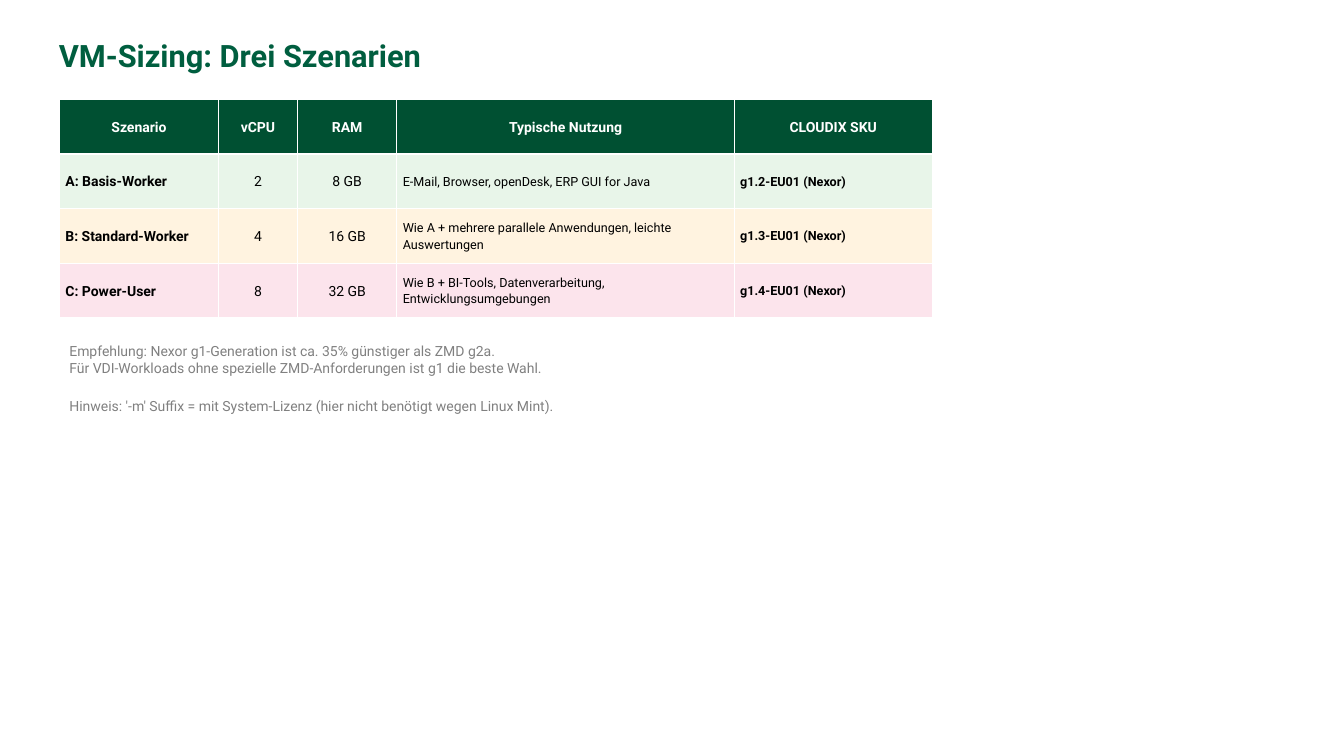
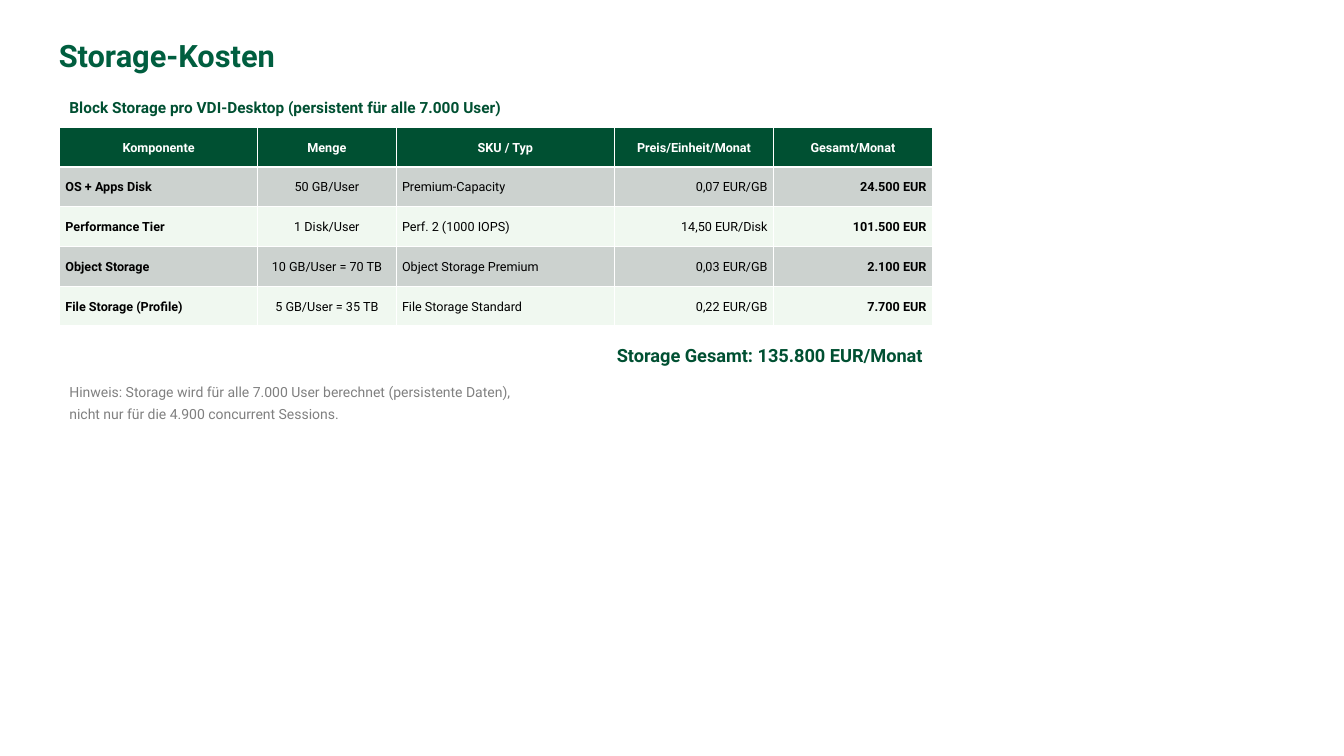
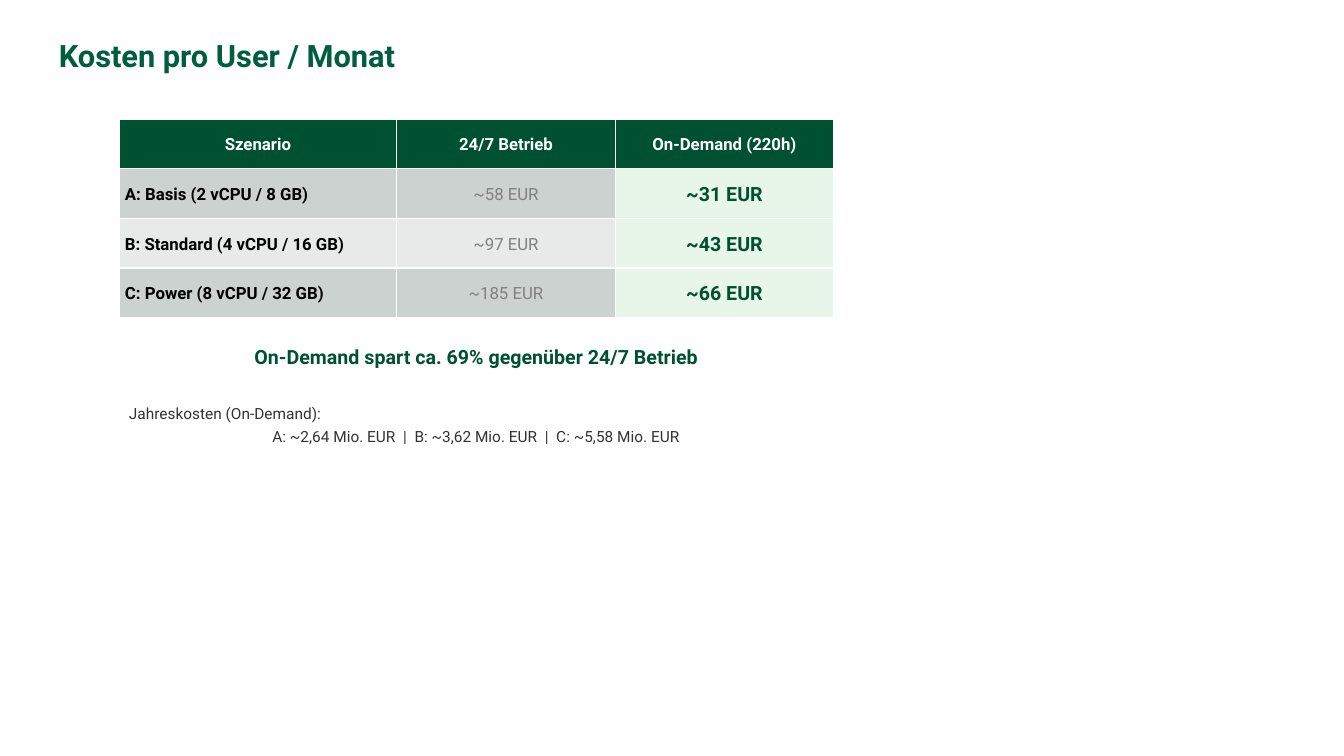
"""Builds three slides on VM sizing, storage costs and costs per user."""
import pptx
import pptx.dml.color
import pptx.enum.text
import pptx.util

Pt = pptx.util.Pt
RGBColor = pptx.dml.color.RGBColor
LEFT, CENTER, RIGHT = (
    pptx.enum.text.PP_ALIGN.LEFT,
    pptx.enum.text.PP_ALIGN.CENTER,
    pptx.enum.text.PP_ALIGN.RIGHT,
)
MIDDLE = pptx.enum.text.MSO_ANCHOR.MIDDLE

FONT = "Roboto"
TITLE_GREEN = RGBColor(0x00, 0x5E, 0x3F)
GREEN = RGBColor(0x00, 0x50, 0x32)
WHITE = RGBColor(0xFF, 0xFF, 0xFF)
BLACK = RGBColor(0x00, 0x00, 0x00)
DARK = RGBColor(0x33, 0x33, 0x33)
GRAY = RGBColor(0x80, 0x80, 0x80)
MINT = RGBColor(0xE8, 0xF5, 0xE9)
ORANGE = RGBColor(0xFF, 0xF3, 0xE0)
PINK = RGBColor(0xFC, 0xE4, 0xEC)
BAND = RGBColor(0xCC, 0xD2, 0xCF)
PALE_BAND = RGBColor(0xE7, 0xEA, 0xE8)
PALE_GREEN = RGBColor(0xF0, 0xF8, 0xF0)

EDGE, CONTENT_WIDTH = 42.5, 623.5
COST_EDGE, COST_WIDTH = 85, 510.5

# Column: heading, width, alignment, size, bold, colour, own fill
# Text: box, size, bold, colour, line spacing, paragraphs (text, alignment, space before)
SLIDES = [
    {
        "title": "VM-Sizing: Drei Szenarien",
        "table": {
            "at": (EDGE, 71), "row_height": 39, "header_size": 10,
            "columns": [
                ("Szenario", 113.5, LEFT, 10, True, BLACK, None),
                ("vCPU", 56.5, CENTER, 10, False, BLACK, None),
                ("RAM", 71, CENTER, 10, False, BLACK, None),
                ("Typische Nutzung", 241, LEFT, 9, False, BLACK, None),
                ("CLOUDIX SKU", 141.5, LEFT, 9, True, BLACK, None),
            ],
            "fills": [MINT, ORANGE, PINK],
            "rows": [
                ("A: Basis-Worker", "2", "8 GB",
                 "E-Mail, Browser, openDesk, ERP GUI for Java", "g1.2-EU01 (Nexor)"),
                ("B: Standard-Worker", "4", "16 GB",
                 "Wie A + mehrere parallele Anwendungen, leichte Auswertungen",
                 "g1.3-EU01 (Nexor)"),
                ("C: Power-User", "8", "32 GB",
                 "Wie B + BI-Tools, Datenverarbeitung, Entwicklungsumgebungen",
                 "g1.4-EU01 (Nexor)"),
            ],
        },
        "texts": [
            ((EDGE, 241, CONTENT_WIDTH, 85), 10, False, GRAY, 1.0, [
                ("Empfehlung: Nexor g1-Generation ist ca. 35% günstiger als ZMD g2a.", LEFT, 0),
                ("Für VDI-Workloads ohne spezielle ZMD-Anforderungen ist g1 die beste Wahl.",
                 LEFT, 0),
                ("Hinweis: '-m' Suffix = mit System-Lizenz (hier nicht benötigt wegen Linux Mint).",
                 LEFT, 15),
            ]),
        ],
    },
    {
        "title": "Storage-Kosten",
        "table": {
            "at": (EDGE, 91), "row_height": 28.35, "header_size": 9,
            "columns": [
                ("Komponente", 141.5, LEFT, 9, True, BLACK, None),
                ("Menge", 99, CENTER, 9, False, BLACK, None),
                ("SKU / Typ", 156, LEFT, 9, False, BLACK, None),
                ("Preis/Einheit/Monat", 113.5, RIGHT, 9, False, BLACK, None),
                ("Gesamt/Monat", 113.5, RIGHT, 9, True, BLACK, None),
            ],
            "fills": [BAND, PALE_GREEN],
            "rows": [
                ("OS + Apps Disk", "50 GB/User", "Premium-Capacity",
                 "0,07 EUR/GB", "24.500 EUR"),
                ("Performance Tier", "1 Disk/User", "Perf. 2 (1000 IOPS)",
                 "14,50 EUR/Disk", "101.500 EUR"),
                ("Object Storage", "10 GB/User = 70 TB", "Object Storage Premium",
                 "0,03 EUR/GB", "2.100 EUR"),
                ("File Storage (Profile)", "5 GB/User = 35 TB", "File Storage Standard",
                 "0,22 EUR/GB", "7.700 EUR"),
            ],
        },
        "texts": [
            ((EDGE, 65.5, 340, 22.5), 11, True, GREEN, 1.1, [
                ("Block Storage pro VDI-Desktop (persistent für alle 7.000 User)", LEFT, 0),
            ]),
            ((397, 241, 269, 22.5), 13, True, GREEN, 1.1, [
                ("Storage Gesamt: 135.800 EUR/Monat", RIGHT, 0),
            ]),
            ((EDGE, 269.5, CONTENT_WIDTH, 42.5), 10, False, GRAY, 1.1, [
                ("Hinweis: Storage wird für alle 7.000 User berechnet (persistente Daten),",
                 LEFT, 0),
                ("nicht nur für die 4.900 concurrent Sessions.", LEFT, 2.5),
            ]),
        ],
    },
    {
        "title": "Kosten pro User / Monat",
        "table": {
            "at": (COST_EDGE, 85), "row_height": 35.5, "header_size": 12,
            "columns": [
                ("Szenario", 198.5, LEFT, 12, True, BLACK, None),
                ("24/7 Betrieb", 156, CENTER, 12, False, GRAY, None),
                ("On-Demand (220h)", 156, CENTER, 14, True, GREEN, MINT),
            ],
            "fills": [BAND, PALE_BAND],
            "rows": [
                ("A: Basis (2 vCPU / 8 GB)", "~58 EUR", "~31 EUR"),
                ("B: Standard (4 vCPU / 16 GB)", "~97 EUR", "~43 EUR"),
                ("C: Power (8 vCPU / 32 GB)", "~185 EUR", "~66 EUR"),
            ],
        },
        "texts": [
            ((COST_EDGE, 241, COST_WIDTH, 28), 14, True, GREEN, 1.1, [
                ("On-Demand spart ca. 69% gegenüber 24/7 Betrieb", CENTER, 0),
            ]),
            ((COST_EDGE, 283.5, COST_WIDTH, 57), 11, False, DARK, 1.1, [
                ("Jahreskosten (On-Demand):", LEFT, 0),
                ("A: ~2,64 Mio. EUR  |  B: ~3,62 Mio. EUR  |  C: ~5,58 Mio. EUR", CENTER, 2.5),
            ]),
        ],
    },
]


def write(paragraph, text, align, size, bold, color, spacing=1.1):
    paragraph.alignment = align
    paragraph.line_spacing = spacing
    run = paragraph.add_run()
    run.text = text
    run.font.name = FONT
    run.font.size = Pt(size)
    run.font.bold = bold
    run.font.color.rgb = color


def add_text(slide, box, size, bold, color, spacing, paragraphs):
    frame = slide.shapes.add_textbox(*map(Pt, box)).text_frame
    frame.word_wrap = True
    for index, (text, align, before) in enumerate(paragraphs):
        paragraph = frame.add_paragraph() if index else frame.paragraphs[0]
        write(paragraph, text, align, size, bold, color, spacing)
        if before:
            paragraph.space_before = Pt(before)
    return frame


def add_title(slide, title):
    frame = add_text(slide, (42, 29.5, 793.5, 61), 22, True, TITLE_GREEN, 0.9,
                     [(title, LEFT, 0)])
    frame.margin_left = frame.margin_top = frame.margin_right = frame.margin_bottom = 0


def fill_cell(cell, fill, text, align, size, bold, color):
    cell.fill.solid()
    cell.fill.fore_color.rgb = fill
    cell.vertical_anchor = MIDDLE
    cell.margin_left = cell.margin_right = Pt(4.25)
    cell.margin_top = cell.margin_bottom = Pt(1.42)
    write(cell.text_frame.paragraphs[0], text, align, size, bold, color)


def add_table(slide, at, row_height, header_size, columns, fills, rows):
    left, top = at
    row_count = len(rows) + 1
    width = sum(column[1] for column in columns)
    table = slide.shapes.add_table(row_count, len(columns), Pt(left), Pt(top), Pt(width),
                                   Pt(row_height * row_count)).table
    table.horz_banding = False
    for row in table.rows:
        row.height = Pt(row_height)
    for col, (heading, col_width, align, size, bold, color, own_fill) in enumerate(columns):
        table.columns[col].width = Pt(col_width)
        fill_cell(table.cell(0, col), GREEN, heading, CENTER, header_size, True, WHITE)
        for index, values in enumerate(rows):
            fill = own_fill or fills[index % len(fills)]
            fill_cell(table.cell(index + 1, col), fill, values[col], align, size, bold, color)


def main():
    deck = pptx.Presentation()
    deck.slide_width, deck.slide_height = Pt(960), Pt(540)
    for content in SLIDES:
        slide = deck.slides.add_slide(deck.slide_layouts[6])
        add_title(slide, content["title"])
        add_table(slide, **content["table"])
        for text in content["texts"]:
            add_text(slide, *text)
    deck.save("out.pptx")


if __name__ == "__main__":
    main()
